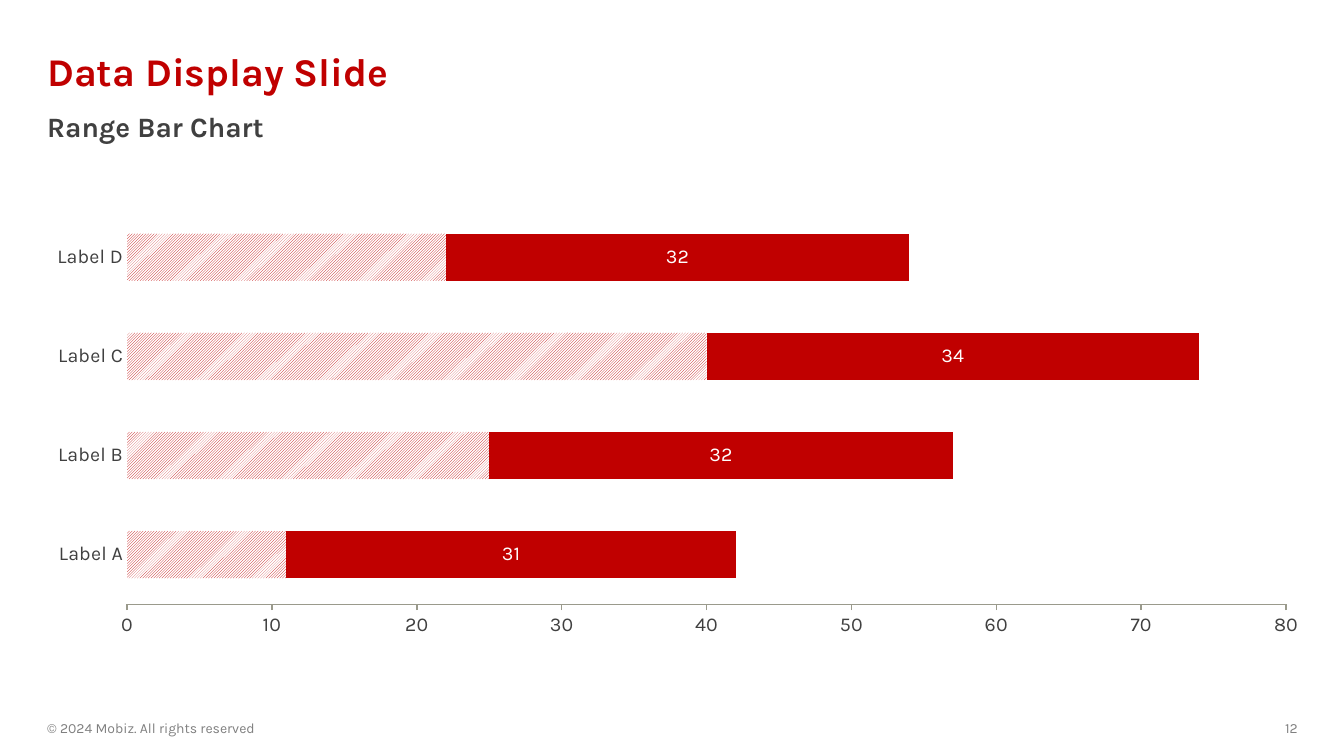
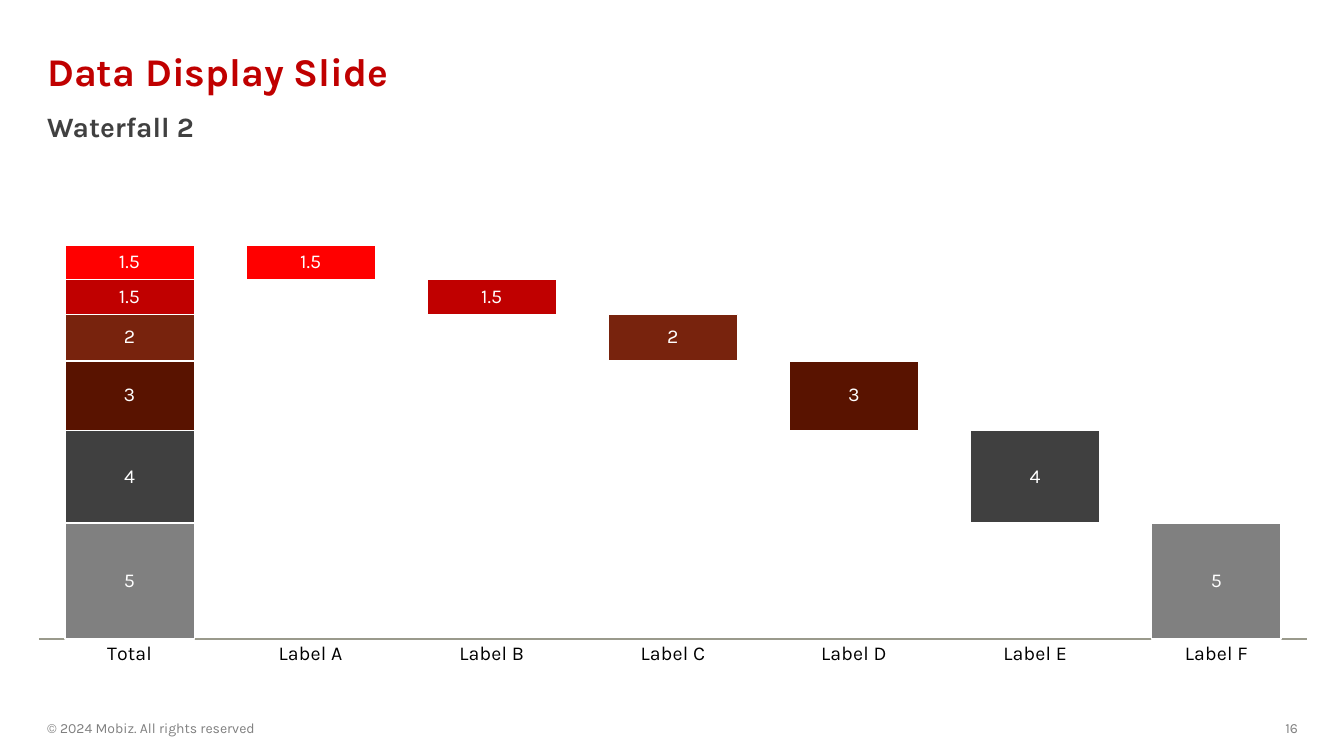
from lxml import etree
from pptx import Presentation
from pptx import util as u
from pptx.chart.data import CategoryChartData
from pptx.dml.color import RGBColor
from pptx.enum import chart as ch, dml, text
from pptx.oxml.ns import qn

PX = 9144  # 100 px to the inch
FONT = "Karla"
RED, DARK, GREY = "C00000", "404040", "808080"
WHITE, BLACK, AXIS = "FFFFFF", "000000", "9A9A8C"
LEFT, WIDTH = 37, 1260
CHART_LEFT, CHART_WIDTH, CHART_HEIGHT = 38, 1259, 470


def px(length):
    return u.Emu(length * PX)


def rgb(value):
    return RGBColor.from_string(value)


def style_font(font, size, color, bold=False):
    font.name = FONT
    font.size = u.Pt(size)
    font.bold = bold
    font.color.rgb = rgb(color)


def style_line(line, color):
    line.color.rgb = rgb(color)
    line.width = u.Pt(1)


def add_text(slide, box, words, size, color, bold=False, spacing=None,
             anchor=text.MSO_ANCHOR.MIDDLE, align=text.PP_ALIGN.LEFT):
    frame = slide.shapes.add_textbox(*map(px, box)).text_frame
    frame.word_wrap = True
    frame.vertical_anchor = anchor
    paragraph = frame.paragraphs[0]
    paragraph.alignment = align
    if spacing:
        paragraph.line_spacing = spacing
    run = paragraph.add_run()
    run.text = words
    style_font(run.font, size, color, bold)


def add_page(deck, subtitle, number):
    """Add a slide with the shared title, subtitle and footer."""
    slide = deck.slides.add_slide(deck.slide_layouts[6])
    add_text(slide, (LEFT, 40, WIDTH, 67), "Data Display Slide", 28, RED,
             bold=True, spacing=0.9)
    add_text(slide, (LEFT, 108, WIDTH, 47), subtitle, 20, DARK,
             bold=True, spacing=0.9, anchor=text.MSO_ANCHOR.TOP)
    add_text(slide, (LEFT, 710, 450, 25),
             "© 2024 Mobiz. All rights reserved", 10, GREY)
    add_text(slide, (1175, 710, 122, 25), str(number), 10, GREY,
             align=text.PP_ALIGN.RIGHT)
    return slide


def set_plot_area(chart, x, y, w, h):
    """Fix the inner plot area as fractions of the chart."""
    area = chart._chartSpace.find(".//" + qn("c:plotArea"))
    for old in area.findall(qn("c:layout")):
        area.remove(old)
    layout = etree.Element(qn("c:layout"))
    manual = etree.SubElement(layout, qn("c:manualLayout"))
    settings = (("layoutTarget", "inner"), ("xMode", "edge"), ("yMode", "edge"),
                ("x", x), ("y", y), ("w", w), ("h", h))
    for tag, value in settings:
        etree.SubElement(manual, qn("c:" + tag)).set("val", str(value))
    area.insert(0, layout)


def add_stacked_chart(slide, kind, top, categories, rows, color, gap, plot_area,
                      maximum):
    data = CategoryChartData()
    data.categories = categories
    for number, values in enumerate(rows, 1):
        data.add_series(f"Series {number}", values)
    box = (CHART_LEFT, top, CHART_WIDTH, CHART_HEIGHT)
    chart = slide.shapes.add_chart(kind, *map(px, box), data).chart
    chart.has_title = chart.has_legend = False
    style_font(chart.font, 14, color)
    plot = chart.plots[0]
    plot.gap_width, plot.overlap = gap, 100
    plot.vary_by_categories = False
    set_plot_area(chart, *plot_area)
    values_axis = chart.value_axis
    values_axis.has_major_gridlines = False
    values_axis.minimum_scale, values_axis.maximum_scale = 0, maximum
    chart.category_axis.major_tick_mark = ch.XL_TICK_MARK.NONE
    return chart


def paint_series(series, color):
    """Fill a visible series and show its values in white."""
    series.invert_if_negative = False
    series.format.fill.solid()
    series.format.fill.fore_color.rgb = rgb(color)
    labels = series.data_labels
    labels.show_value = True
    labels.position = ch.XL_LABEL_POSITION.CENTER
    style_font(labels.font, 14, WHITE)


def add_range_bars(slide):
    categories = [f"Label {letter}" for letter in "ABCD"]
    starts, lengths = (11, 25, 40, 22), (31, 32, 34, 32)
    chart = add_stacked_chart(
        slide, ch.XL_CHART_TYPE.BAR_STACKED, 193, categories, (starts, lengths),
        DARK, 110, (0.07, 0.028, 0.913, 0.837), 80)
    chart.category_axis.format.line.fill.background()
    axis = chart.value_axis
    axis.major_unit = 10
    axis.major_tick_mark = ch.XL_TICK_MARK.OUTSIDE
    style_line(axis.format.line, AXIS)

    # Hatched lead-in, then the solid range
    lead_in, span = chart.plots[0].series
    lead_in.invert_if_negative = False
    hatch = lead_in.format.fill
    hatch.patterned()
    hatch.pattern = dml.MSO_PATTERN.DARK_UPWARD_DIAGONAL
    hatch.fore_color.rgb, hatch.back_color.rgb = rgb(RED), rgb(WHITE)
    paint_series(span, RED)


def add_waterfall(slide):
    # Parts of the total, from the bottom up
    parts = ((5, GREY), (4, DARK), (3, "591300"), (2, "78230D"),
             (1.5, RED), (1.5, "FF0000"))
    count = len(parts)
    categories = ["Total"] + [f"Label {letter}" for letter in "ABCDEF"]

    # Each part stands in the total and again in its own column, last part first
    base, rows, floor = [None] * (count + 1), [], 0
    for index, (size, _) in enumerate(parts):
        column = count - index
        base[column] = floor or None
        rows.append([size if place in (0, column) else None
                     for place in range(count + 1)])
        floor += size

    chart = add_stacked_chart(
        slide, ch.XL_CHART_TYPE.COLUMN_STACKED, 220, categories, [base] + rows,
        BLACK, 40, (0, 0, 1, 0.881), 18)
    chart.value_axis.visible = False
    style_line(chart.category_axis.format.line, AXIS)
    support, *steps = chart.plots[0].series
    support.format.fill.background()
    for step, (_, color) in zip(steps, parts):
        paint_series(step, color)
        style_line(step.format.line, WHITE)


def main():
    deck = Presentation()
    deck.slide_width, deck.slide_height = px(1333), px(750)
    add_range_bars(add_page(deck, "Range Bar Chart", 12))
    add_waterfall(add_page(deck, "Waterfall 2", 16))
    deck.save("out.pptx")


if __name__ == "__main__":
    main()
